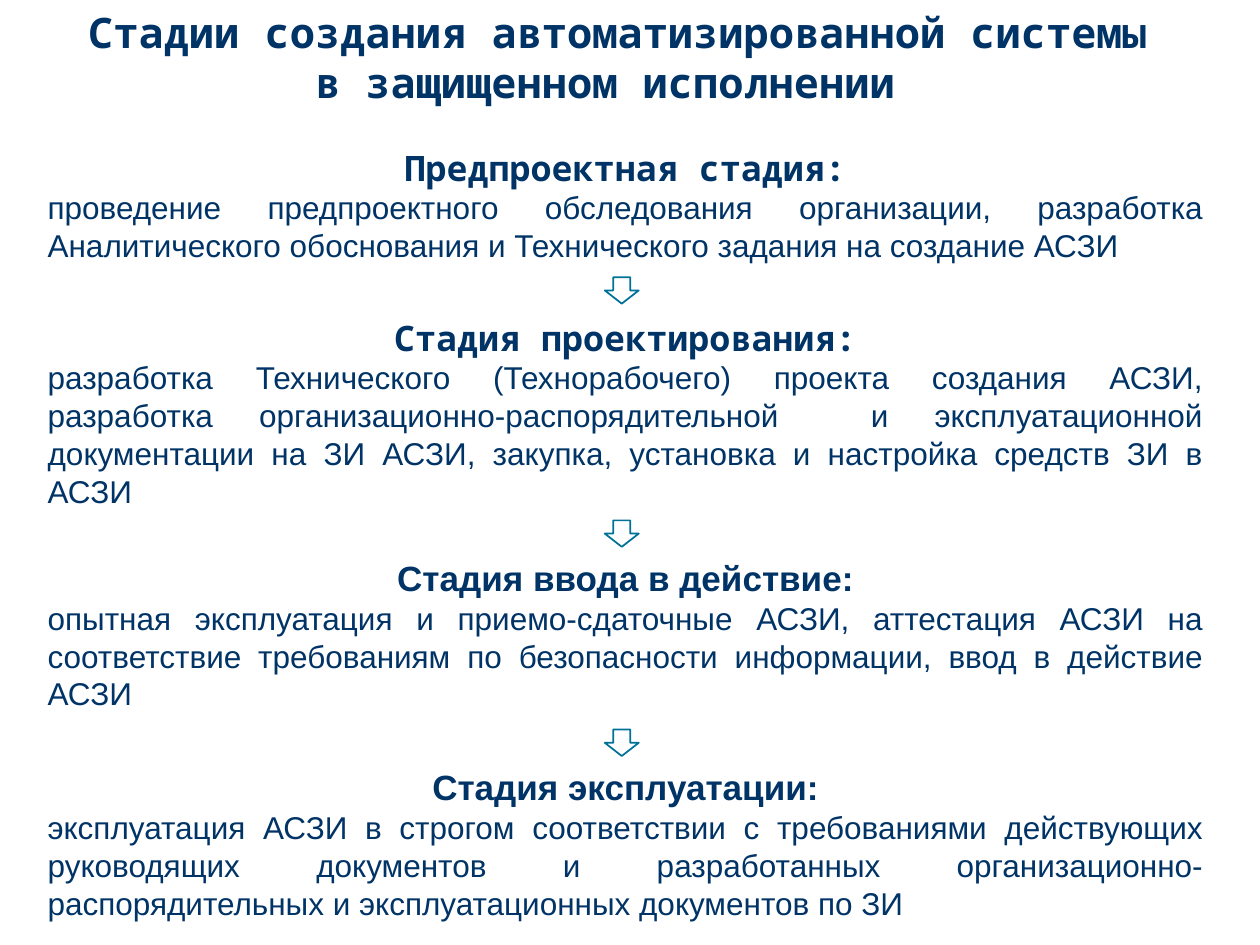
from dataclasses import dataclass

from pptx import Presentation
from pptx.dml.color import RGBColor
from pptx.enum.shapes import MSO_SHAPE
from pptx.enum.text import MSO_ANCHOR, PP_ALIGN
from pptx.util import Inches, Pt

RECTANGLE = MSO_SHAPE.RECTANGLE
DOWN_ARROW = MSO_SHAPE.DOWN_ARROW
TOP = MSO_ANCHOR.TOP
CENTER = PP_ALIGN.CENTER
JUSTIFY = PP_ALIGN.JUSTIFY

COLORS = {"text": "003366", "paper": "FFFFFF", "arrow": "007197"}
MONO = "Noto Sans Mono"
SANS = "Arial"

PAGE_WIDTH = Inches(10)
PAGE_HEIGHT = Inches(7.5)
COLUMN = PAGE_WIDTH // 100
ROW = PAGE_HEIGHT // 75

STAGE_LEFT, STAGE_COLUMNS = 2.8, 93.7
ARROW_LEFT, ARROW_COLUMNS, ARROW_ROWS = 48, 2.7, 2.1
TITLE_ROWS = 13.1


@dataclass(frozen=True)
class Stage:
    top: float
    rows: float
    heading: str
    heading_font: str
    body: str


TITLE_LINES = (
    "Стадии создания автоматизированной системы ",
    "в защищенном исполнении  ",
)
STAGES = (
    Stage(11.1, 10.4, "Предпроектная стадия:", MONO,
          "проведение предпроектного обследования организации, разработка "
          "Аналитического обоснования и Технического задания на создание АСЗИ "),
    Stage(24.6, 16.5, "Стадия проектирования:", MONO,
          "разработка Технического (Технорабочего) проекта создания АСЗИ, "
          "разработка организационно-распорядительной  и эксплуатационной "
          "документации на ЗИ АСЗИ, закупка, установка и настройка средств ЗИ в АСЗИ"),
    Stage(43.7, 13.5, "Стадия ввода в действие:", SANS,
          "опытная эксплуатация и приемо-сдаточные АСЗИ, аттестация АСЗИ на "
          "соответствие требованиям по безопасности информации, ввод в действие АСЗИ"),
    Stage(60.3, 13.5, "Стадия эксплуатации:", SANS,
          "эксплуатация АСЗИ в строгом соответствии с требованиями действующих "
          "руководящих документов и разработанных "
          "организационно-распорядительных и эксплуатационных документов по ЗИ"),
)
ARROW_TOPS = (22, 41.3, 57.9)


def color(name: str) -> RGBColor:
    return RGBColor.from_string(COLORS[name])


def grid_box(left: float, top: float, columns: float, rows: float) -> tuple:
    return (round(left * COLUMN), round(top * ROW),
            round(columns * COLUMN), round(rows * ROW))


def style_paragraph(para, align, font: str, size: int, bold: bool) -> None:
    para.alignment = align
    for span in para.runs:
        span.font.name = font
        span.font.size = Pt(size)
        span.font.bold = bold
        span.font.color.rgb = color("text")


def set_line(shape, name: str, width: int) -> None:
    shape.shadow.inherit = False
    shape.line.color.rgb = color(name)
    shape.line.width = Pt(width)


def draw_stage(page, stage: Stage) -> None:
    box = page.shapes.add_shape(
        RECTANGLE, *grid_box(STAGE_LEFT, stage.top, STAGE_COLUMNS, stage.rows))
    box.fill.background()
    set_line(box, "paper", 3)
    frame = box.text_frame
    frame.word_wrap = True
    frame.vertical_anchor = TOP
    frame.text = f"{stage.heading}\n{stage.body}"
    heading, body = frame.paragraphs
    style_paragraph(heading, CENTER, stage.heading_font, 20, True)
    style_paragraph(body, JUSTIFY, SANS, 18, False)


def draw_arrow(page, top: float) -> None:
    arrow = page.shapes.add_shape(
        DOWN_ARROW, *grid_box(ARROW_LEFT, top, ARROW_COLUMNS, ARROW_ROWS))
    arrow.fill.solid()
    arrow.fill.fore_color.rgb = color("paper")
    set_line(arrow, "arrow", 1)


def draw_title(page) -> None:
    frame = page.shapes.add_textbox(*grid_box(0, 0, 100, TITLE_ROWS)).text_frame
    frame.word_wrap = True
    frame.text = "\n".join(TITLE_LINES)
    for para in frame.paragraphs:
        style_paragraph(para, CENTER, MONO, 24, True)


def main() -> None:
    deck = Presentation()
    deck.slide_width = PAGE_WIDTH
    deck.slide_height = PAGE_HEIGHT
    page = deck.slides.add_slide(deck.slide_layouts[6])
    for stage in STAGES:
        draw_stage(page, stage)
    for top in ARROW_TOPS:
        draw_arrow(page, top)
    draw_title(page)
    deck.save("out.pptx")


if __name__ == "__main__":
    main()
